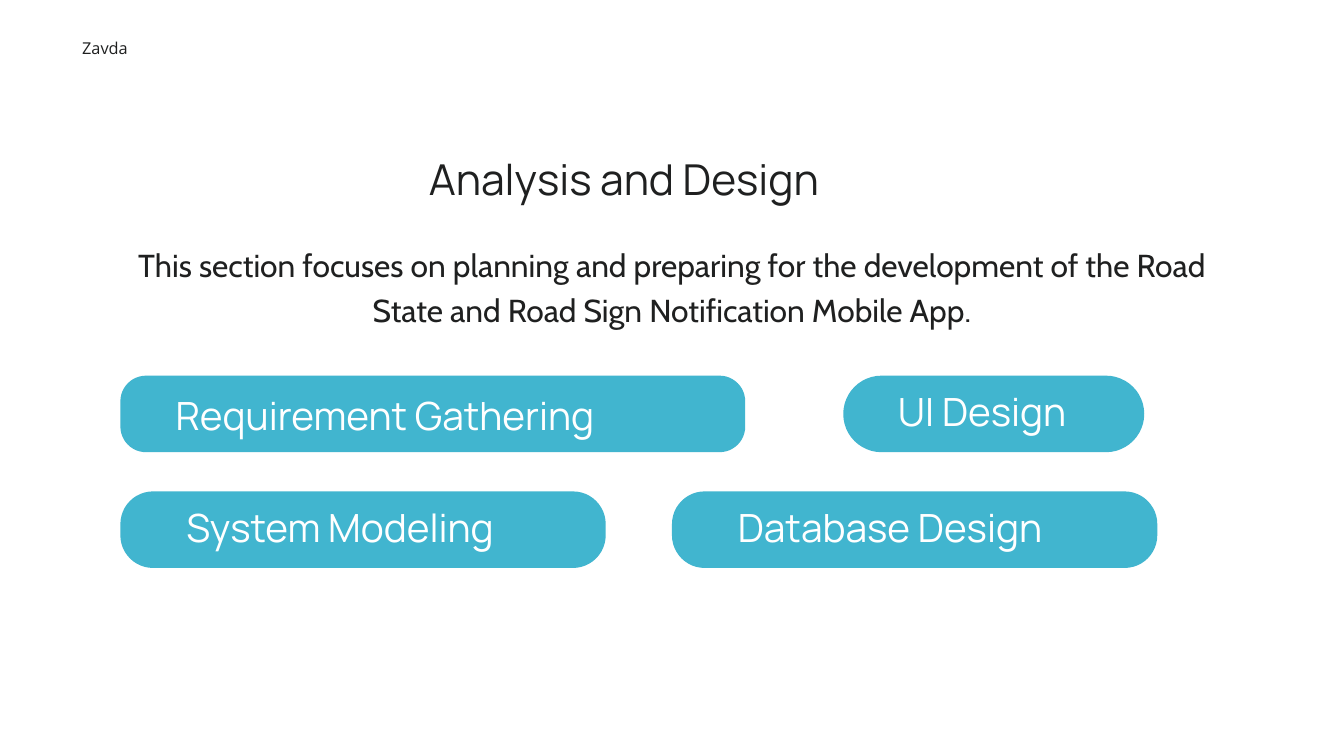
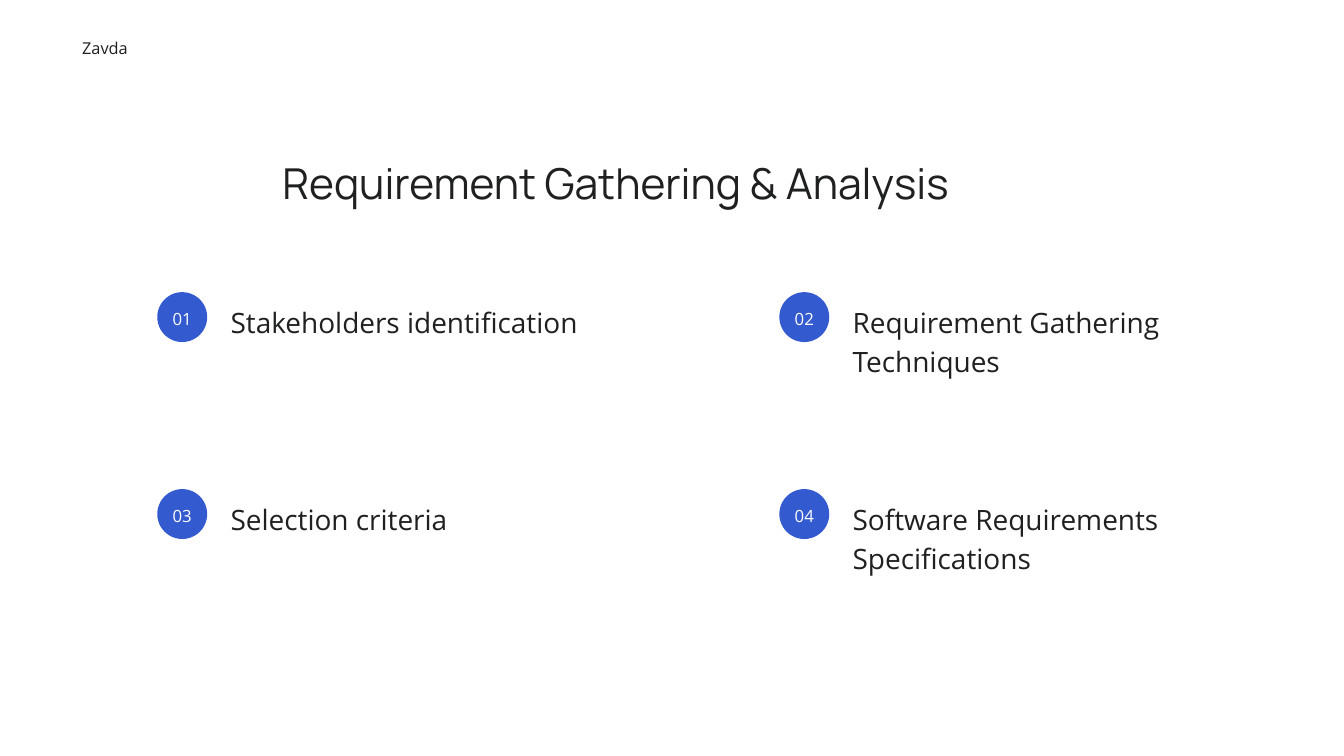
from lxml import etree
from pptx import Presentation
from pptx.dml.color import RGBColor
from pptx.enum.shapes import MSO_SHAPE
from pptx.enum.text import MSO_ANCHOR, MSO_AUTO_SIZE, PP_ALIGN
from pptx.oxml.ns import qn
from pptx.util import Pt

ROUNDED, OVAL = MSO_SHAPE.ROUNDED_RECTANGLE, MSO_SHAPE.OVAL
TOP, MIDDLE = MSO_ANCHOR.TOP, MSO_ANCHOR.MIDDLE
LEFT, CENTER = PP_ALIGN.LEFT, PP_ALIGN.CENTER
NO_FIT = MSO_AUTO_SIZE.NONE

INK, WHITE, TEAL, BLUE = "1F2020", "FFFFFF", "41B5CF", "335ACF"
HEADING, INTRO, BODY = "Manrope", "Cabin", "Open Sans"
LAYOUT_CONTENT, LAYOUT_TITLE = 1, 5


def rgb(value):
    return RGBColor.from_string(value)


def write(sp, text, size, leading, font=BODY, color=INK, align=LEFT,
          anchor=TOP, left=0, top=0):
    """Put one formatted paragraph into a shape, with insets in points."""
    tf = sp.text_frame
    tf.word_wrap = True
    tf.auto_size = NO_FIT
    tf.vertical_anchor = anchor
    tf.margin_left, tf.margin_top = Pt(left), Pt(top)
    tf.margin_right = tf.margin_bottom = 0
    p = tf.paragraphs[0]
    p.alignment = align
    p.line_spacing = Pt(leading)
    p.space_before = p.space_after = Pt(0)
    r = p.add_run()
    r.text = text
    r.font.name, r.font.size = font, Pt(size)
    r.font.color.rgb = rgb(color)
    return p


def place(sp, x, y, w, h):
    sp.left, sp.top, sp.width, sp.height = Pt(x), Pt(y), Pt(w), Pt(h)


class Deck:
    def __init__(self):
        self.prs = Presentation()
        self.prs.slide_width, self.prs.slide_height = Pt(1440), Pt(810)
        self.slide = None

    def add_slide(self, layout):
        layouts = self.prs.slide_layouts
        self.slide = self.prs.slides.add_slide(layouts[layout])
        self.text("Zavda", 88, 37.5, 178, 22.5, size=17.5, leading=24.5)

    def title(self, text, x, y, w):
        sp = self.slide.shapes.title
        place(sp, x, y, w, 57.6)
        write(sp, text, 45.6, 53.4, font=HEADING)

    def intro(self, text, x, y, w, h):
        sp = self.slide.placeholders[1]
        place(sp, x, y, w, h)
        p = write(sp, text, 34, 47.6, font=INTRO, align=CENTER)
        # No bullet and no hanging indent
        pPr = p._p.get_or_add_pPr()
        pPr.set("marL", "0")
        pPr.set("indent", "0")
        etree.SubElement(pPr, qn("a:buNone"))

    def text(self, text, x, y, w, h, **style):
        sp = self.slide.shapes.add_textbox(Pt(x), Pt(y), Pt(w), Pt(h))
        write(sp, text, **style)

    def shape(self, kind, x, y, w, h, fill):
        sp = self.slide.shapes.add_shape(kind, Pt(x), Pt(y), Pt(w), Pt(h))
        sp.shadow.inherit = False
        sp.fill.solid()
        sp.fill.fore_color.rgb = rgb(fill)
        sp.line.fill.background()
        return sp

    def pill(self, text, x, y, w, radius, left, top):
        h = 82
        sp = self.shape(ROUNDED, x, y, w, h, TEAL)
        sp.adjustments[0] = radius / h
        corner = radius * 0.29  # the preset's own text inset
        write(sp, text, 41.6, 48.7, font=HEADING, color=WHITE,
              left=left - corner, top=top - corner)

    def numbered_item(self, number, text, x, y):
        sp = self.shape(OVAL, x, y, 53.5, 53.5, BLUE)
        write(sp, f"{number:02}", 18, 25.2, color=WHITE, align=CENTER,
              anchor=MIDDLE)
        self.text(text, x + 78.5, y + 8, 384, 79, size=30, leading=42)


def analysis_and_design(deck):
    deck.add_slide(LAYOUT_CONTENT)
    deck.title("Analysis and Design", 459.5, 165.5, 552)
    deck.intro("This section focuses on planning and preparing for the "
               "development of the Road State and Road Sign Notification "
               "Mobile App.", 129, 257, 1182, 93)
    # Design steps: label, x, y, width, radius, text left, text top
    upper, lower = 402.5, 526.5
    steps = [
        ("Requirement Gathering", 129, upper, 669.5, 27.5, 59, 18.5),
        ("System Modeling", 129, lower, 520, 35, 70.5, 14),
        ("UI Design", 903.5, upper, 322.5, 41, 58.5, 14),
        ("Database Design", 720, lower, 520, 35, 70.5, 14),
    ]
    for step in steps:
        deck.pill(*step)


def requirement_gathering(deck):
    deck.add_slide(LAYOUT_TITLE)
    deck.title("Requirement Gathering & Analysis", 302.5, 170, 834.5)
    # Two-by-two grid of topics
    topics = ["Stakeholders identification",
              "Requirement Gathering Techniques",
              "Selection criteria",
              "Software Requirements Specifications"]
    for i, topic in enumerate(topics):
        row, col = divmod(i, 2)
        deck.numbered_item(i + 1, topic, 168.5 + col * 666.5,
                           313 + row * 211)


def main():
    deck = Deck()
    analysis_and_design(deck)
    requirement_gathering(deck)
    deck.prs.save("out.pptx")


if __name__ == "__main__":
    main()
